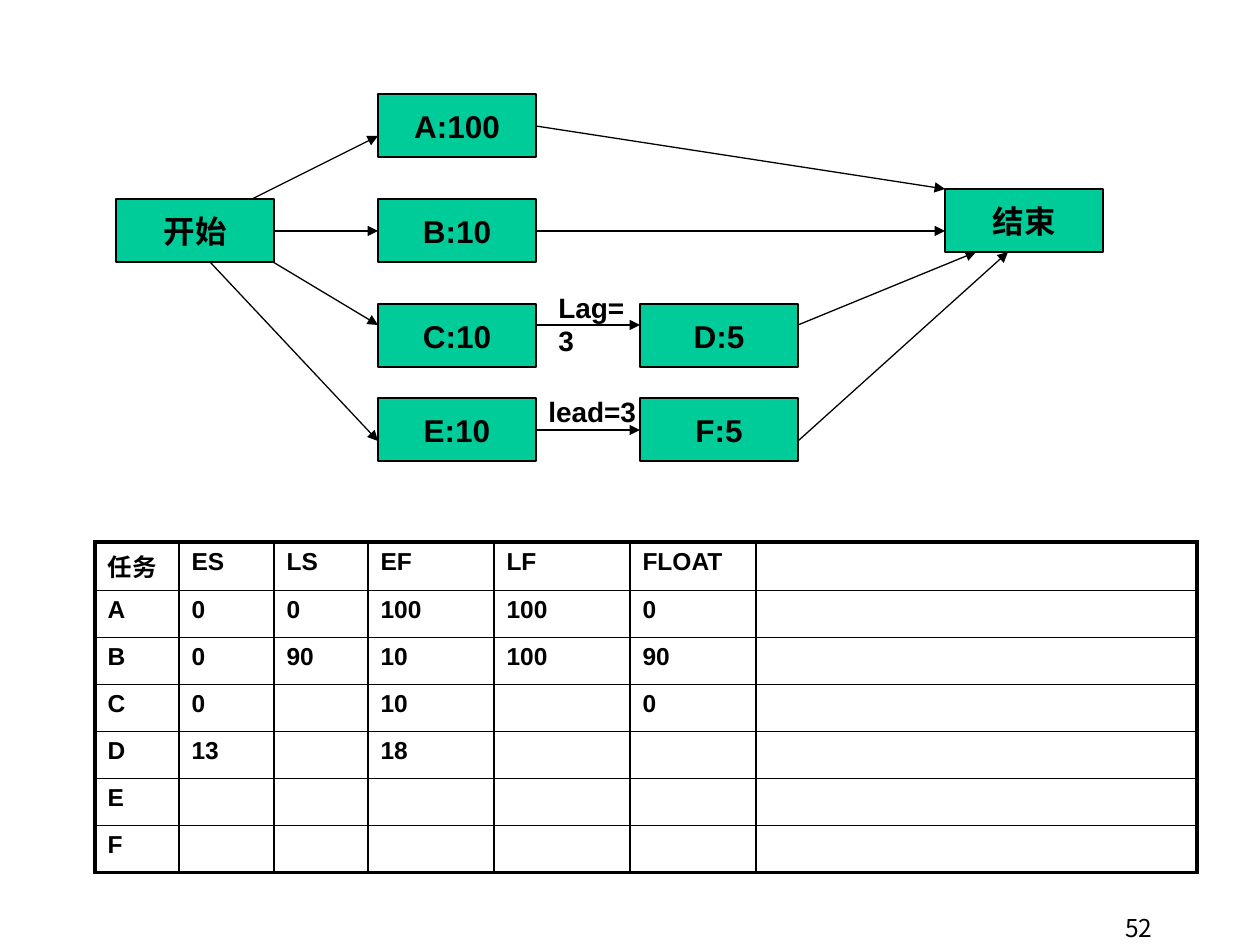
import pptx
import pptx.dml.color
import pptx.enum.shapes
import pptx.enum.text
import pptx.oxml
import pptx.oxml.ns
import pptx.util

PX = 914400 / 126
BLACK = pptx.dml.color.RGBColor(0x00, 0x00, 0x00)
GREEN = pptx.dml.color.RGBColor(0x00, 0xCC, 0x99)
ALIGN = pptx.enum.text.PP_ALIGN
ANCHOR = pptx.enum.text.MSO_ANCHOR

# Task boxes: text, left, top
BOX_W, BOX_H = 158, 63
TASKS = [
    ("开始", 116, 199),
    ("A:100", 378, 94),
    ("B:10", 378, 199),
    ("C:10", 378, 304),
    ("E:10", 378, 398),
    ("D:5", 640, 304),
    ("F:5", 640, 398),
    ("结束", 945, 189),
]

# Arrows: start x, start y, end x, end y
ARROWS = [
    (252, 199, 378, 136),
    (273, 231, 378, 231),
    (273, 262, 378, 325),
    (210, 262, 378, 441),
    (536, 231, 945, 231),
    (536, 126, 945, 189),
    (536, 325, 640, 325),
    (536, 430, 640, 430),
    (798, 325, 976, 252),
    (798, 441, 1008, 252),
]

# Schedule table
COLUMNS = [84, 95, 94, 126, 136, 126, 441]
ROW_H = 47
SCHEDULE = [
    ["任务", "ES", "LS", "EF", "LF", "FLOAT", ""],
    ["A", "0", "0", "100", "100", "0", ""],
    ["B", "0", "90", "10", "100", "90", ""],
    ["C", "0", "", "10", "", "0", ""],
    ["D", "13", "", "18", "", "", ""],
    ["E", "", "", "", "", "", ""],
    ["F", "", "", "", "", "", ""],
]


def px(n):
    return pptx.util.Emu(round(n * PX))


def set_text(tf, text, size, font="Arial", bold=True, align=ALIGN.LEFT):
    tf.text = text
    p = tf.paragraphs[0]
    p.alignment = align
    for r in p.runs:
        r.font.size = pptx.util.Pt(size)
        r.font.name = font
        r.font.bold = bold
        r.font.color.rgb = BLACK
    if not text:
        p._p.get_or_add_endParaRPr().set("sz", str(size * 100))


def add_task(slide, text, x, y):
    sp = slide.shapes.add_shape(pptx.enum.shapes.MSO_SHAPE.RECTANGLE,
                                px(x), px(y), px(BOX_W), px(BOX_H))
    sp.shadow.inherit = False
    sp.fill.solid()
    sp.fill.fore_color.rgb = GREEN
    sp.line.color.rgb = BLACK
    sp.line.width = pptx.util.Pt(0.75)
    tf = sp.text_frame
    tf.word_wrap = False
    tf.vertical_anchor = ANCHOR.MIDDLE
    set_text(tf, text, 18, align=ALIGN.CENTER)


def add_arrow(slide, x1, y1, x2, y2):
    line = slide.shapes.add_connector(pptx.enum.shapes.MSO_CONNECTOR.STRAIGHT,
                                      px(x1), px(y1), px(x2), px(y2))
    line.line.color.rgb = BLACK
    line.line.width = pptx.util.Pt(0.75)
    ns = pptx.oxml.ns.nsdecls("a")
    ln = line.line._get_or_add_ln()
    ln.append(pptx.oxml.parse_xml(f'<a:tailEnd {ns} type="triangle"/>'))
    ln.addnext(pptx.oxml.parse_xml(f"<a:effectLst {ns}/>"))


def add_label(slide, text, x, y, w, h, size=16, anchor=ANCHOR.TOP, **style):
    tf = slide.shapes.add_textbox(px(x), px(y), px(w), px(h)).text_frame
    tf.word_wrap = True
    tf.vertical_anchor = anchor
    set_text(tf, text, size, **style)


def set_borders(cell, widths):
    tc_pr = cell._tc.get_or_add_tcPr()
    ns = pptx.oxml.ns.nsdecls("a")
    for i, (side, width) in enumerate(widths.items()):
        tc_pr.insert(i, pptx.oxml.parse_xml(
            f'<a:ln{side} {ns} w="{pptx.util.Pt(width)}"><a:solidFill>'
            f'<a:srgbClr val="{BLACK}"/></a:solidFill></a:ln{side}>'))


def add_schedule(slide, x, y):
    rows, cols = len(SCHEDULE), len(COLUMNS)
    table = slide.shapes.add_table(rows, cols, px(x), px(y),
                                   px(sum(COLUMNS)), px(rows * ROW_H)).table
    table.first_row = False
    table.horz_banding = False
    for column, width in zip(table.columns, COLUMNS):
        column.width = px(width)
    for i, values in enumerate(SCHEDULE):
        table.rows[i].height = px(ROW_H)
        for j, text in enumerate(values):
            cell = table.cell(i, j)
            cell.fill.background()
            set_text(cell.text_frame, text, 14)
            # Heavy outer frame, thin inner grid
            outer = {"L": j == 0, "R": j == cols - 1,
                     "T": i == 0, "B": i == rows - 1}
            set_borders(cell, {side: 2.25 if edge else 1
                               for side, edge in outer.items()})


def main():
    prs = pptx.Presentation()
    prs.slide_width, prs.slide_height = px(1260), px(945)
    slide = prs.slides.add_slide(prs.slide_layouts[6])

    # Network diagram
    for task in TASKS:
        add_task(slide, *task)
    for arrow in ARROWS:
        add_arrow(slide, *arrow)

    # Schedule and arrow labels
    add_schedule(slide, 95, 542)
    add_label(slide, "Lag=3", 546, 284, 105, 81)
    add_label(slide, "lead=3", 536, 388, 126, 47)

    # Page number
    add_label(slide, "52", 903, 910, 262, 35, size=14, anchor=ANCHOR.MIDDLE,
              font="Noto Sans CJK KR", bold=False, align=ALIGN.RIGHT)

    prs.save("out.pptx")


if __name__ == "__main__":
    main()
